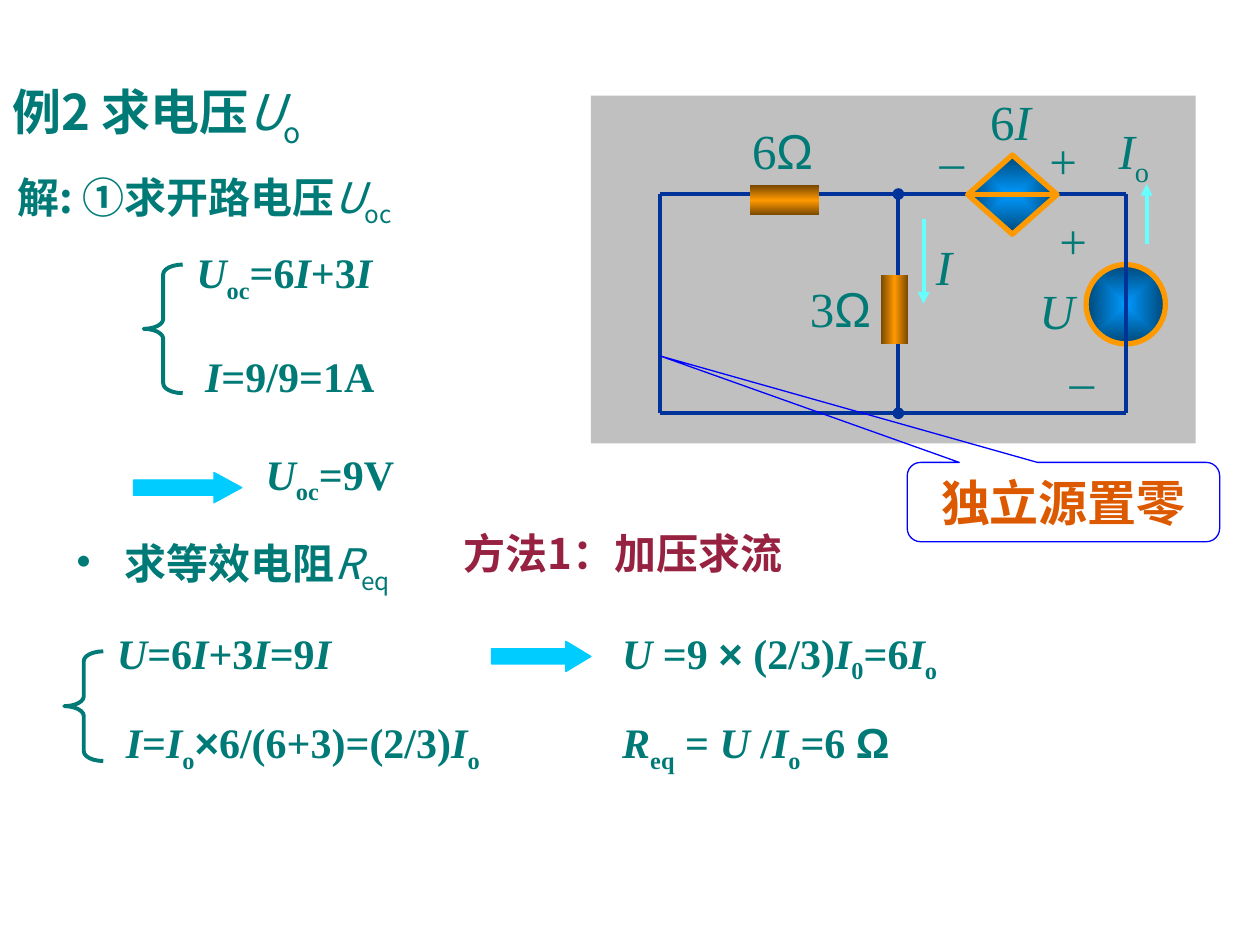
from itertools import groupby

from lxml.etree import SubElement
from pptx import Presentation
from pptx.dml.color import RGBColor
from pptx.enum.shapes import MSO_CONNECTOR, MSO_SHAPE as SHAPE
from pptx.enum.text import MSO_ANCHOR, MSO_AUTO_SIZE, PP_ALIGN
from pptx.oxml import parse_xml
from pptx.oxml.ns import nsdecls, qn
from pptx.util import Inches, Pt

TEAL = RGBColor(0x00, 0x7A, 0x77)
CRIMSON = RGBColor(0x97, 0x21, 0x40)
ORANGE = RGBColor(0xDC, 0x59, 0x00)
AMBER = RGBColor(0xFF, 0x99, 0x00)
BROWN = RGBColor(0x76, 0x47, 0x00)
SKY = RGBColor(0x00, 0x99, 0xFF)
DEEP_BLUE = RGBColor(0x00, 0x47, 0x76)
WIRE = RGBColor(0x00, 0x33, 0x99)
CURRENT = RGBColor(0x66, 0xFF, 0xFF)
CYAN = RGBColor(0x00, 0xCC, 0xFF)
BLUE = RGBColor(0x00, 0x00, 0xFF)
GREY = RGBColor(0xC0, 0xC0, 0xC0)

SERIF, SANS, SYMBOL = "Times New Roman", "Noto Sans CJK SC", "Arial"

ACROSS = '<a:lin ang="0" scaled="0"/>'
DOWN = '<a:lin ang="5400000" scaled="0"/>'
CENTRE = ('<a:path path="rect"><a:fillToRect l="50000" t="50000" '
          'r="50000" b="50000"/></a:path>')


def styled_pieces(markup):
    """Split markup into (text, italic, subscript, symbol); *x* is italic, _x_ subscript."""
    marked, active = [], {"*": False, "_": False}
    for char in markup:
        if char in active:
            active[char] = not active[char]
        else:
            marked.append((char, active["*"], active["_"], char in "×Ω"))
    for style, group in groupby(marked, key=lambda item: item[1:]):
        yield ("".join(item[0] for item in group), *style)


class CircuitSlide:
    def __init__(self, presentation):
        self.slide = presentation.slides.add_slide(presentation.slide_layouts[5])
        self.shapes = self.slide.shapes

    def fill_text(self, shape, markup, size, font, color=TEAL, bold=True, bullet=False,
                  align=PP_ALIGN.LEFT):
        frame = shape.text_frame
        frame.word_wrap = True
        frame.auto_size = MSO_AUTO_SIZE.NONE
        paragraph = frame.paragraphs[0]
        paragraph.alignment = align
        if bullet:
            properties = paragraph._p.get_or_add_pPr()
            properties.set("marL", str(Inches(0.38)))
            properties.set("indent", str(-Inches(0.38)))
            SubElement(properties, qn("a:buChar")).set("char", "•")
        for text, italic, subscript, symbol in styled_pieces(markup):
            run = paragraph.add_run()
            run.text = text
            run.font.size = Pt(size)
            run.font.italic = italic
            # Variables in sans headings are light, those in formulas are bold.
            run.font.bold = bold and not (font == SANS and (italic or subscript))
            run.font.color.rgb = color
            run.font.name = SYMBOL if symbol else font
            properties = run._r.get_or_add_rPr()
            SubElement(properties, qn("a:ea")).set("typeface", run.font.name)
            if subscript:
                properties.set("baseline", "-25000")

    def title(self, markup, left, top, width, height):
        title = self.shapes.title
        title.left, title.top = Inches(left), Inches(top)
        title.width, title.height = Inches(width), Inches(height)
        title.text_frame.vertical_anchor = MSO_ANCHOR.TOP
        self.fill_text(title, markup, 28, SANS)

    def text(self, markup, left, top, width, height, size=24, font=SERIF, **style):
        box = self.shapes.add_textbox(*map(Inches, (left, top, width, height)))
        self.fill_text(box, markup, size, font, **style)

    def label(self, markup, left, top, width=0.75):
        self.text(markup, left, top, width, 0.57, size=28, bold=False)

    def shape(self, kind, left, top, width, height, fill=None, line=None,
              line_width=0.75, adjustments=()):
        shape = self.shapes.add_shape(kind, *map(Inches, (left, top, width, height)))
        shape.shadow.inherit = False
        for index, value in enumerate(adjustments):
            shape.adjustments[index] = value
        if fill is None:
            shape.fill.background()
        else:
            shape.fill.solid()
            shape.fill.fore_color.rgb = fill
        if line is None:
            shape.line.fill.background()
        else:
            shape.line.color.rgb = line
            shape.line.width = Pt(line_width)
        return shape

    def gradient_shape(self, kind, left, top, width, height, colors, direction, line=None):
        shape = self.shape(kind, left, top, width, height, line=line, line_width=3)
        step = 100000 // (len(colors) - 1)
        stops = "".join(f'<a:gs pos="{index * step}"><a:srgbClr val="{color}"/></a:gs>'
                        for index, color in enumerate(colors))
        gradient = parse_xml(f'<a:gradFill {nsdecls("a")} rotWithShape="1">'
                             f'<a:gsLst>{stops}</a:gsLst>{direction}</a:gradFill>')
        properties = shape._element.spPr
        properties.replace(properties.find(qn("a:noFill")), gradient)

    def resistor(self, left, top, width, height, direction):
        self.gradient_shape(SHAPE.RECTANGLE, left, top, width, height,
                            (BROWN, AMBER, BROWN), direction)

    def source(self, kind, left, top, width, height):
        self.gradient_shape(kind, left, top, width, height, (SKY, DEEP_BLUE), CENTRE, AMBER)

    def brace(self, left, top, height):
        self.shape(SHAPE.LEFT_BRACE, left, top, 0.31, height, line=TEAL,
                   line_width=2.25, adjustments=(0.25, 0.5))

    def block_arrow(self, left, top, width, head):
        self.shape(SHAPE.RIGHT_ARROW, left, top, width, 0.24, CYAN, CYAN,
                   adjustments=(0.5, head))

    def line(self, x1, y1, x2, y2, color=WIRE, head=None, tail=None):
        connector = self.shapes.add_connector(MSO_CONNECTOR.STRAIGHT,
                                              *map(Inches, (x1, y1, x2, y2)))
        connector.line.color.rgb = color
        connector.line.width = Pt(2.25)
        properties = connector._element.spPr
        for tag, kind in (("a:headEnd", head), ("a:tailEnd", tail)):
            if kind:
                SubElement(properties.find(qn("a:ln")), qn(tag)).set("type", kind)
        SubElement(properties, qn("a:effectLst"))


def draw_circuit(page):
    left, middle, right = 5.24, 7.13, 8.94
    top, bottom = 1.54, 3.28
    page.shape(SHAPE.RECTANGLE, 4.69, 0.76, 4.8, 2.76, GREY)
    page.source(SHAPE.OVAL, 8.62, 2.1, 0.63, 0.63)
    page.line(right, top, right, bottom)
    page.line(middle, top, middle, bottom, head="oval", tail="oval")
    page.line(left, bottom, left, top)
    for y in (top, bottom):
        page.line(left, y, right, y)
    page.resistor(6.99, 2.18, 0.22, 0.55, ACROSS)
    page.resistor(5.95, 1.47, 0.55, 0.24, DOWN)
    page.source(SHAPE.FLOWCHART_SORT, 7.68, 1.23, 0.71, 0.63)
    page.line(7.33, 1.74, 7.33, 2.41, CURRENT, tail="triangle")
    page.line(9.1, 1.94, 9.1, 1.46, CURRENT, tail="triangle")
    page.label("3Ω", 6.33, 2.16)
    page.label("6Ω", 5.87, 0.91, 0.82)
    page.label("*I*", 7.33, 1.83, 0.5)
    page.label("+", 8.31, 1.62, 0.33)
    page.label("–", 8.39, 2.73, 0.42)
    page.label("*U*", 8.15, 2.18)
    page.label("+", 8.23, 0.99, 0.42)
    page.label("–", 7.36, 0.99, 0.5)
    page.label("6*I*", 7.76, 0.68)
    page.label("*I*_o_", 8.78, 0.91)


def main():
    presentation = Presentation()
    presentation.slide_width, presentation.slide_height = Inches(10), Inches(7.5)
    page = CircuitSlide(presentation)

    page.title("例2 求电压*U*_o_", 0, 0.6, 3.86, 0.63)
    page.text("解: ①求开路电压*U*_oc_", 0.04, 1.31, 3.62, 0.56, font=SANS)
    page.brace(1.14, 2.1, 1.02)
    page.text("*U*_oc_=6*I*+3*I*", 1.46, 1.91, 2.28, 0.56)
    page.text("*I*=9/9=1A", 1.53, 2.73, 2.28, 0.5)
    page.block_arrow(1.06, 3.75, 0.86, 0.92)
    page.text("*U*_oc_=9V", 2.01, 3.51, 1.89, 0.56)

    page.text("求等效电阻*R*_eq_", 0.51, 4.22, 3.58, 0.56, font=SANS, bullet=True)
    page.text("方法1：加压求流", 3.58, 4.14, 3.39, 0.5, font=SANS, color=CRIMSON)
    draw_circuit(page)
    callout = page.shape(SHAPE.ROUNDED_RECTANGULAR_CALLOUT, 7.2, 3.67, 2.48, 0.63,
                         line=BLUE, adjustments=(-1.29, -1.84, 0.17))
    callout.text_frame.vertical_anchor = MSO_ANCHOR.MIDDLE
    page.fill_text(callout, "独立源置零", 28, SANS, ORANGE, align=PP_ALIGN.CENTER)

    page.brace(0.51, 5.17, 0.87)
    page.text("*U*=6*I*+3*I*=9*I*", 0.83, 4.93, 2.68, 0.5)
    page.text("*I*=*I*_o_×6/(6+3)=(2/3)*I*_o_", 0.9, 5.64, 3.98, 0.56)
    page.block_arrow(3.9, 5.09, 0.79, 0.83)
    page.text("*U* =9 × (2/3)*I*_0_=6*I*_o_", 4.84, 4.93, 4.06, 0.56)
    page.text("*R*_eq_ = *U* /*I*_o_=6 Ω", 4.84, 5.64, 3.54, 0.56)
    presentation.save("out.pptx")


if __name__ == "__main__":
    main()
